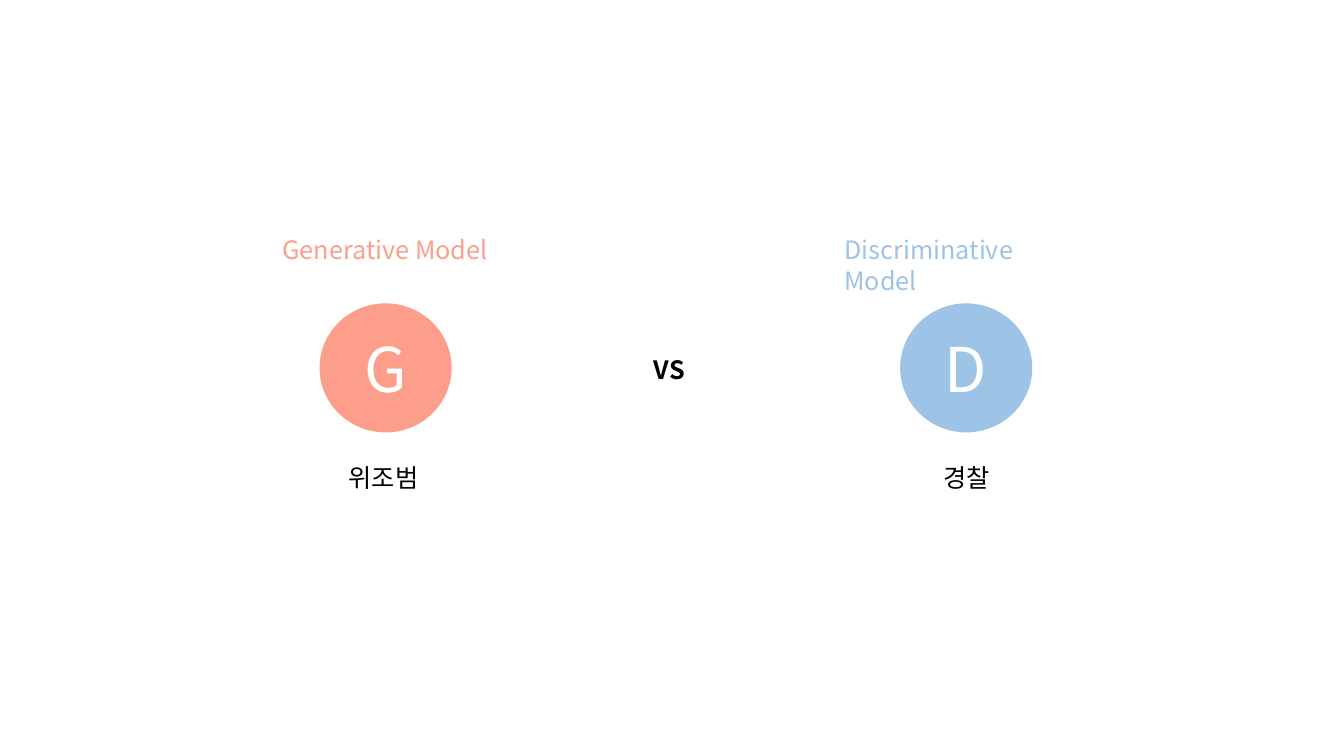
"""Build a slide that sets the generative model against the discriminative model."""
from lxml.etree import SubElement
from pptx import Presentation
from pptx.dml.color import RGBColor
from pptx.enum.shapes import MSO_SHAPE
from pptx.enum.text import MSO_ANCHOR, PP_ALIGN
from pptx.oxml.ns import qn
from pptx.util import Inches, Pt

SLIDE_WIDTH, SLIDE_HEIGHT = Inches(13.33), Inches(7.5)
FONT_NAME = "Noto Sans CJK KR"
CORAL = RGBColor(0xFD, 0x9E, 0x8B)
SKY = RGBColor(0x9D, 0xC3, 0xE6)
BLACK = RGBColor(0x00, 0x00, 0x00)
WHITE = RGBColor(0xFF, 0xFF, 0xFF)

LABEL_TOP, CIRCLE_TOP, VERSUS_TOP, ROLE_TOP = 30.4, 40.13, 46.27, 60.53
LINE_HEIGHT = 5.4
CIRCLE_WIDTH, CIRCLE_HEIGHT = 9.83, 17.07

MODELS = [
    {"letter": "G", "label": "Generative Model", "role": "위조범", "color": CORAL,
     "center": 28.69, "label_width": 16.8, "role_center": 28.54, "role_width": 27.38},
    {"letter": "D", "label": "Discriminative Model", "role": "경찰", "color": SKY,
     "center": 71.89, "label_width": 19.58, "role_center": 71.94, "role_width": 31.05},
]


def frame(center, top, width, height):
    """Turn percentages of the slide into left, top, width and height."""
    return (int(SLIDE_WIDTH * (center - width / 2) / 100), int(SLIDE_HEIGHT * top / 100),
            int(SLIDE_WIDTH * width / 100), int(SLIDE_HEIGHT * height / 100))


def write_text(shape, text, color, size=18, alignment=PP_ALIGN.LEFT, bold=False):
    """Put one formatted line of text into a shape."""
    shape.text_frame.word_wrap = True
    paragraph = shape.text_frame.paragraphs[0]
    paragraph.alignment = alignment
    run = paragraph.add_run()
    run.text = text
    for name, value in {"name": FONT_NAME, "size": Pt(size), "bold": bold}.items():
        setattr(run.font, name, value)
    run.font.color.rgb = color
    SubElement(run.font._element, qn("a:ea"), typeface=FONT_NAME)


def add_text(shapes, place, text, color, **text_format):
    """Add a text box at a place given in percentages."""
    write_text(shapes.add_textbox(*frame(*place)), text, color, **text_format)


def add_circle(shapes, place, letter, color):
    """Add a filled circle that holds one large letter."""
    circle = shapes.add_shape(MSO_SHAPE.OVAL, *frame(*place))
    circle.shadow.inherit = False
    circle.fill.solid()
    circle.fill.fore_color.rgb = color
    circle.line.fill.background()
    circle.text_frame.vertical_anchor = MSO_ANCHOR.MIDDLE
    write_text(circle, letter, WHITE, size=44, alignment=PP_ALIGN.CENTER)


def add_model(slide, model):
    """Add a role caption and the group of circle and label for one model."""
    add_text(slide.shapes, (model["role_center"], ROLE_TOP, model["role_width"], LINE_HEIGHT),
             model["role"], BLACK, alignment=PP_ALIGN.CENTER)
    group = slide.shapes.add_group_shape()
    add_circle(group.shapes, (model["center"], CIRCLE_TOP, CIRCLE_WIDTH, CIRCLE_HEIGHT),
               model["letter"], model["color"])
    add_text(group.shapes, (model["center"], LABEL_TOP, model["label_width"], LINE_HEIGHT),
             model["label"], model["color"])


def main():
    """Build and save the slide."""
    presentation = Presentation()
    presentation.slide_width, presentation.slide_height = SLIDE_WIDTH, SLIDE_HEIGHT
    slide = presentation.slides.add_slide(presentation.slide_layouts[6])
    for model in MODELS:
        add_model(slide, model)
    add_text(slide.shapes, (50.06, VERSUS_TOP, 4.28, LINE_HEIGHT), "VS", BLACK, bold=True)
    presentation.save("out.pptx")


if __name__ == "__main__":
    main()
